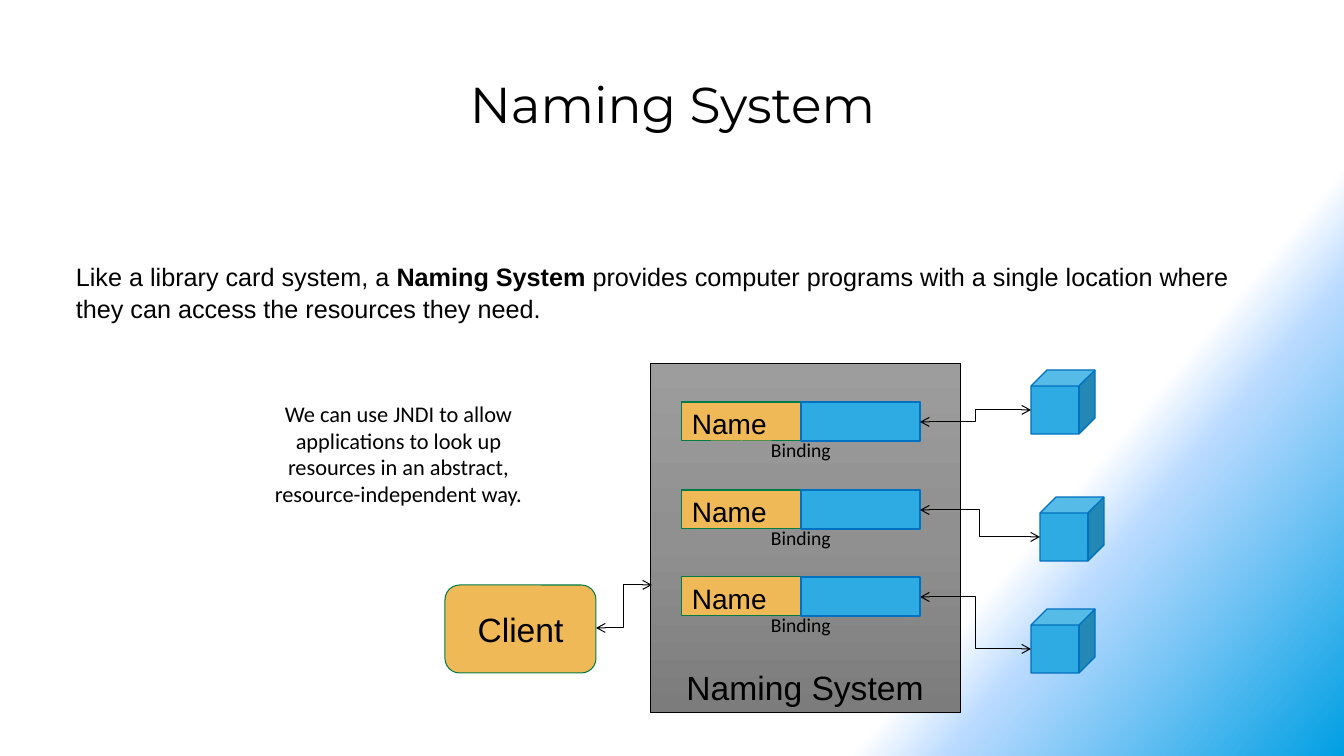
"""Build the Naming System slide: a client, a registry of name bindings and the bound resources."""
import pptx
import pptx.util
import pptx.dml.color
import pptx.enum.shapes
import pptx.enum.text
import pptx.oxml.ns
from lxml import etree

PIXEL = 914400 / 100.8
COLORS = {
    "text": "000000", "name": "EFB957", "name_line": "007D46",
    "resource": "2EABE2", "resource_line": "0070C0",
    "white": "FFFFFF", "pale": "B9DAFF", "sky": "009FE3",
    "gray_top": "9D9D9D", "gray_middle": "909090", "gray_bottom": "7C7C7C",
}
SHAPE = pptx.enum.shapes.MSO_SHAPE
ANCHOR = pptx.enum.text.MSO_ANCHOR
ALIGN = pptx.enum.text.PP_ALIGN
qn = pptx.oxml.ns.qn
rgb = pptx.dml.color.RGBColor.from_string


def write_text(shape, text, size, font, align=ALIGN.LEFT, anchor=ANCHOR.TOP):
    """Put one formatted paragraph into a shape and return the paragraph."""
    frame = shape.text_frame
    frame.word_wrap = True
    frame.auto_size = pptx.enum.text.MSO_AUTO_SIZE.NONE
    frame.vertical_anchor = anchor
    paragraph = frame.paragraphs[0]
    paragraph.text = text
    paragraph.alignment = align
    paragraph.font.size = pptx.util.Pt(size)
    paragraph.font.name = font
    paragraph.font.color.rgb = rgb(COLORS["text"])
    return paragraph


def add_box(kind, bounds, fill, line, width):
    """Add a filled and outlined preset shape at pixel bounds."""
    shape = slide.shapes.add_shape(kind, *[round(value * PIXEL) for value in bounds])
    shape.shadow.inherit = False
    shape.fill.solid()
    shape.fill.fore_color.rgb = rgb(COLORS[fill])
    shape.line.color.rgb = rgb(COLORS[line])
    shape.line.width = pptx.util.Pt(width)
    return shape


presentation = pptx.Presentation()
presentation.slide_width = round(1344 * PIXEL)
presentation.slide_height = round(756 * PIXEL)
slide = presentation.slides.add_slide(presentation.slide_layouts[5])

title = slide.shapes.title
title.left, title.top, title.width, title.height = [
    round(value * PIXEL) for value in (66, 68, 1213, 123)]
write_text(title, "Naming System", 36, "Montserrat", ALIGN.CENTER)

introduction = slide.shapes.add_textbox(
    *[round(value * PIXEL) for value in (66, 254, 1213, 92)])
paragraph = write_text(introduction, "Like a library card system, a ", 18, "Arial")
paragraph.line_spacing = 1.07
paragraph.space_after = pptx.util.Pt(6)
term = paragraph.add_run()
term.text = "Naming System "
term.font.bold = True
paragraph.add_run().text = (
    "provides computer programs with a single location where "
    "they can access the resources they need.")

system = add_box(SHAPE.RECTANGLE, (650, 363, 310, 349), "gray_middle", "text", 0.5)
write_text(system, "Naming System", 24, "Arial", ALIGN.CENTER, ANCHOR.BOTTOM)

client = add_box(SHAPE.ROUNDED_RECTANGLE, (445, 585, 151, 88), "name", "name_line", 0.75)
write_text(client, "Client", 24, "Arial", ALIGN.CENTER, ANCHOR.MIDDLE)

links = [(596, 628, 652, 585)]
for row_top, cube_left, cube_top in ((402, 1031, 370), (490, 1040, 497), (577, 1031, 609)):
    name = add_box(SHAPE.RECTANGLE, (682, row_top, 119, 39), "name", "name_line", 0.75)
    write_text(name, "Name", 20, "Arial")
    add_box(SHAPE.RECTANGLE, (801, row_top, 119, 39), "resource", "resource_line", 1)
    add_box(SHAPE.CUBE, (cube_left, cube_top, 64, 64), "resource", "resource_line", 1)
    binding = slide.shapes.add_textbox(
        *[round(value * PIXEL) for value in (761, row_top + 31, 103, 34)])
    write_text(binding, "Binding", 14, "Calibri")
    links.append((920, row_top + 20, cube_left, cube_top + 40))

for link in links:
    connector = slide.shapes.add_connector(
        pptx.enum.shapes.MSO_CONNECTOR.ELBOW, *[round(value * PIXEL) for value in link])
    connector.line.color.rgb = rgb(COLORS["text"])
    connector.line.width = pptx.util.Pt(0.75)
    properties = connector.element.spPr
    outline = properties.find(qn("a:ln"))
    for end in ("a:headEnd", "a:tailEnd"):
        etree.SubElement(outline, qn(end), type="arrow")
    etree.SubElement(properties, qn("a:effectLst"))

remark = slide.shapes.add_textbox(
    *[round(value * PIXEL) for value in (242, 394, 313, 119)])
write_text(
    remark,
    "We can use JNDI to allow applications to look up resources "
    "in an abstract, resource-independent way.",
    16, "Calibri", ALIGN.CENTER, ANCHOR.MIDDLE)

gradients = (
    (slide.background, slide.element, 320, ((75, "white"), (80, "pale"), (100, "sky"))),
    (system, system.element, 270,
     ((0, "gray_top"), (50, "gray_middle"), (100, "gray_bottom"))),
)
for target, element, angle, stops in gradients:
    target.fill.gradient()
    target.fill.gradient_angle = angle
    stop_list = element.find(".//" + qn("a:gsLst"))
    for stop in list(stop_list):
        stop_list.remove(stop)
    for position, color in stops:
        stop = etree.SubElement(stop_list, qn("a:gs"), pos=str(position * 1000))
        etree.SubElement(stop, qn("a:srgbClr"), val=COLORS[color])

presentation.save("out.pptx")
